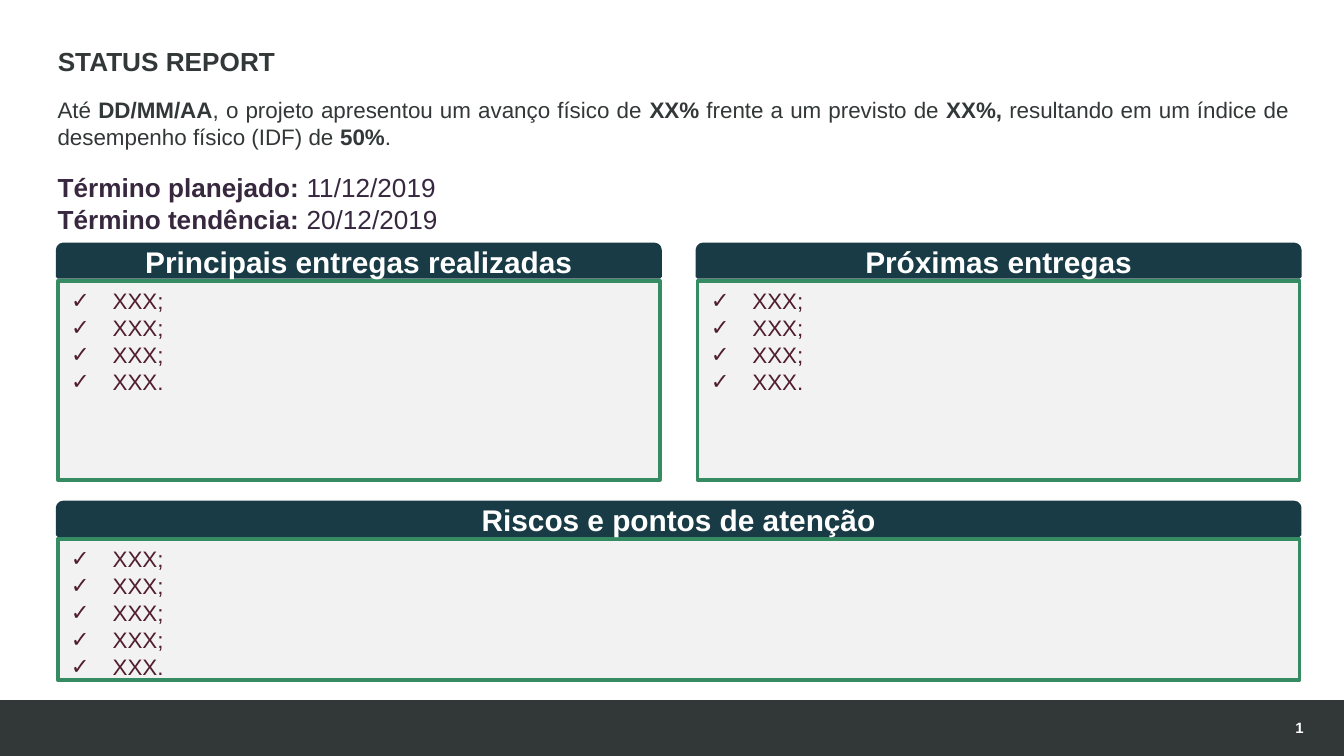
from lxml import etree
from pptx import Presentation
from pptx import util as u
from pptx.dml.color import RGBColor
from pptx.enum import shapes, text
from pptx.oxml.ns import qn

WIDE = 10
HIGH = WIDE * 9 / 16
LEFT, RIGHT, GAP = 0.43, 9.67, 0.28
HALF = (RIGHT - LEFT - GAP) / 2
HEAD, STEP = 0.24, 0.27
DARK, NAVY, GREEN, PALE = "323737", "183B46", "358B62", "F2F2F2"
PLUM, WINE, WHITE = "37283F", "501E2D", "FFFFFF"


def color(code):
    return RGBColor.from_string(code)


def place(item, box):
    for name, size in zip(("left", "top", "width", "height"), box):
        setattr(item, name, u.Inches(size))


def write(frame, lines, size, tint, **form):
    """Fill a frame with lines, each a list of (words, bold) runs."""
    look = {"alignment": text.PP_ALIGN.LEFT, "line_spacing": 1.0,
            "space_before": u.Pt(0), **form}
    frame.word_wrap = True
    frame.auto_size = text.MSO_AUTO_SIZE.NONE
    for i, line in enumerate(lines):
        para = frame.paragraphs[0] if i == 0 else frame.add_paragraph()
        for name, value in look.items():
            setattr(para, name, value)
        for words, bold in line:
            run = para.add_run()
            run.text = words
            font = {"name": "Arial", "size": u.Pt(size), "bold": bold}
            for name, value in font.items():
                setattr(run.font, name, value)
            run.font.color.rgb = color(tint)


def label(slide, box, lines, size, tint, **form):
    item = slide.shapes.add_textbox(0, 0, 0, 0)
    place(item, box)
    write(item.text_frame, lines, size, tint, **form)
    return item


def block(slide, kind, box, fill, line=None):
    item = slide.shapes.add_shape(kind, 0, 0, 0, 0)
    place(item, box)
    item.shadow.inherit = False
    item.fill.solid()
    item.fill.fore_color.rgb = color(fill)
    if line:
        item.line.color.rgb = color(line)
        item.line.width = u.Pt(2)
    else:
        item.line.fill.background()
    return item


def check(para):
    """Give a paragraph a hanging check mark."""
    props = para._p.get_or_add_pPr()
    props.set("marL", str(u.Inches(0.31)))
    props.set("indent", str(-u.Inches(0.31)))
    etree.SubElement(props, qn("a:buFont")).set("typeface", "Arial")
    etree.SubElement(props, qn("a:buChar")).set("char", "✓")


def panel(slide, box, name, count):
    """Draw a headed box with a list of count items."""
    x, y, w, h = box
    body = block(slide, shapes.MSO_SHAPE.RECTANGLE,
                 (x, y + STEP, w, h - STEP), PALE, GREEN)
    body.text_frame.vertical_anchor = text.MSO_ANCHOR.TOP
    items = ["XXX;"] * (count - 1) + ["XXX."]
    write(body.text_frame, [[(item, False)] for item in items], 12, WINE)
    for para in body.text_frame.paragraphs:
        check(para)
    head = block(slide, shapes.MSO_SHAPE.ROUND_2_SAME_RECTANGLE,
                 (x, y, w, HEAD), NAVY, NAVY)
    head.text_frame.vertical_anchor = text.MSO_ANCHOR.MIDDLE
    write(head.text_frame, [[(name, True)]], 16, WHITE,
          alignment=text.PP_ALIGN.CENTER)


def header(slide, box):
    """Place the title, the summary and the dates."""
    x, y, w, h = box
    title = slide.shapes.title
    place(title, (x, y, w, 0.37))
    title.text_frame.vertical_anchor = text.MSO_ANCHOR.TOP
    write(title.text_frame, [[("STATUS REPORT", True)]], 14, DARK)
    label(slide, (x, y + 0.38, w, 0.56), [[
        ("Até ", False), ("DD/MM/AA", True),
        (", o projeto apresentou um avanço físico de ", False),
        ("XX% ", True), ("frente a um previsto de ", False),
        ("XX%, ", True),
        ("resultando em um índice de desempenho físico (IDF) de ", False),
        ("50%", True), (".", False)]], 12, DARK,
        alignment=text.PP_ALIGN.JUSTIFY)
    dates = {"planejado": "11/12/2019", "tendência": "20/12/2019"}
    label(slide, (x, y + 0.94, 3.08, h - 0.94),
          [[(f"Término {key}: ", True), (day, False)]
           for key, day in dates.items()], 14, PLUM)


def footer(slide, box):
    x, y, w, h = box
    block(slide, shapes.MSO_SHAPE.RECTANGLE, box, DARK)
    page = label(slide, (x + w - 0.46, y + 0.08, 0.4, 0.25),
                 [[("1", True)]], 8, WHITE)
    page.text_frame.vertical_anchor = text.MSO_ANCHOR.MIDDLE


def main():
    deck = Presentation()
    deck.slide_width, deck.slide_height = u.Inches(WIDE), u.Inches(HIGH)
    slide = deck.slides.add_slide(deck.slide_layouts[5])
    footer(slide, (0, 5.21, WIDE, HIGH - 5.21))
    header(slide, (0.33, 0.29, 9.36, 1.51))
    panel(slide, (LEFT, 1.82, HALF, 1.75),
          "Principais entregas realizadas", 4)
    panel(slide, (LEFT, 3.74, RIGHT - LEFT, 1.32),
          "Riscos e pontos de atenção", 5)
    panel(slide, (LEFT + HALF + GAP, 1.82, HALF, 1.75),
          "Próximas entregas", 4)
    deck.save("out.pptx")


if __name__ == "__main__":
    main()
